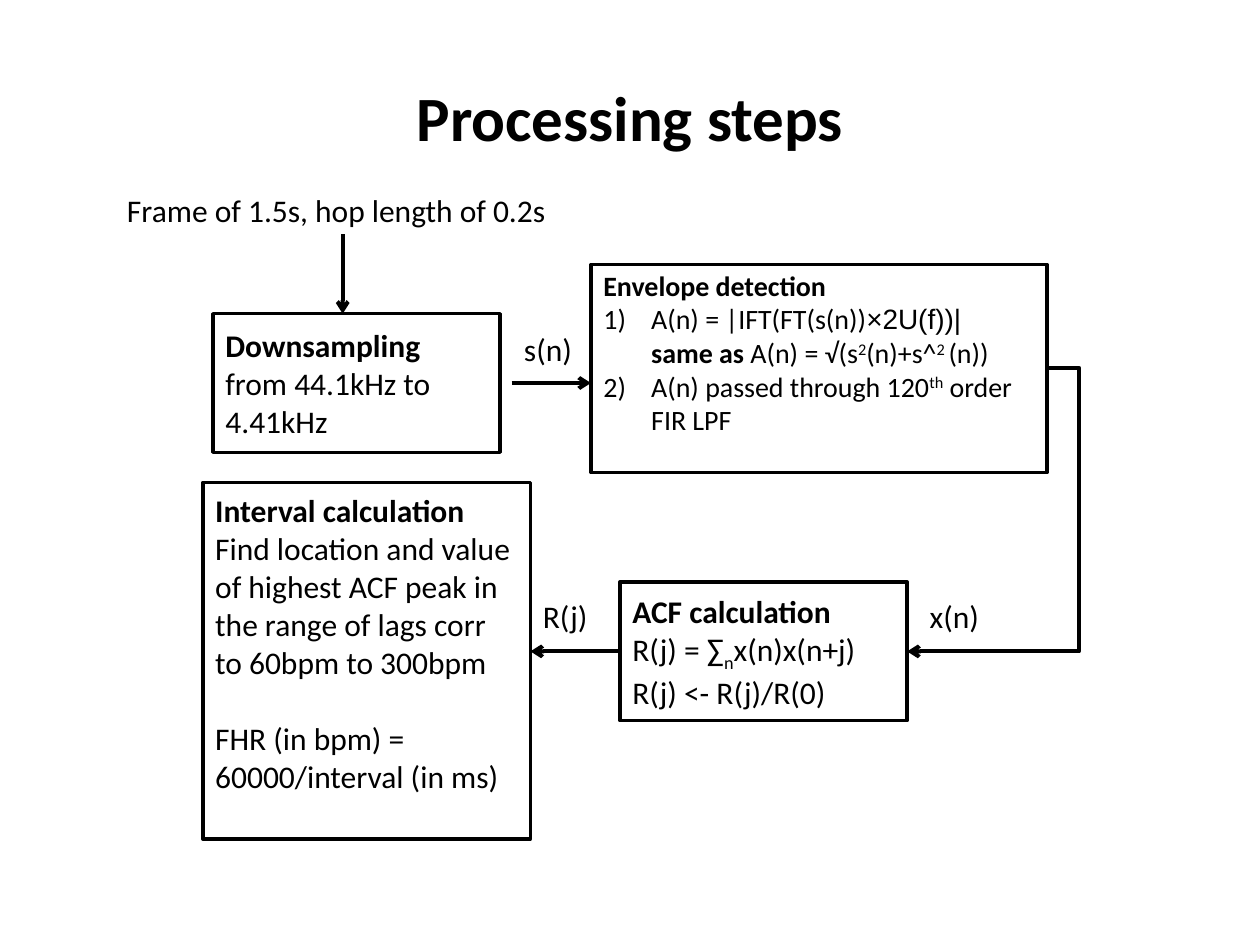
from lxml.etree import SubElement
from pptx import Presentation
from pptx.dml.color import RGBColor
from pptx.enum.shapes import MSO_CONNECTOR as Link, MSO_SHAPE as Shape
from pptx.enum.text import MSO_ANCHOR as Anchor, MSO_AUTO_SIZE as AutoSize, PP_ALIGN as Align
from pptx.oxml.ns import qn
from pptx.util import Inches, Pt


def color(value):
    return RGBColor.from_string(value)


class FlowSlide:
    font = "Calibri"
    ink = "000000"
    paper = "FFFFFF"
    indent = Inches(0.38)

    def __init__(self, deck):
        self.slide = deck.slides.add_slide(deck.slide_layouts[5])
        fill = self.slide.background.fill
        fill.solid()
        fill.fore_color.rgb = color(self.paper)

    def style(self, span, size, bold=False, font=None, baseline=0):
        span.font.name = font or self.font
        span.font.size = Pt(size)
        span.font.bold = bold
        span.font.color.rgb = color(self.ink)
        if baseline:
            span.font._element.set("baseline", str(baseline * 1000))

    def title(self, text, left, top, width, height):
        box = self.slide.shapes.title
        box.left, box.top, box.width, box.height = map(Inches, (left, top, width, height))
        frame = box.text_frame
        frame.text = text
        frame.vertical_anchor = Anchor.MIDDLE
        frame.paragraphs[0].alignment = Align.CENTER
        self.style(frame.paragraphs[0].runs[0], 36, bold=True)

    def label(self, text, left, top, width):
        box = self.slide.shapes.add_textbox(*map(Inches, (left, top, width, 0.4)))
        frame = box.text_frame
        frame.text = text
        frame.word_wrap = False
        frame.auto_size = AutoSize.SHAPE_TO_FIT_TEXT
        self.style(frame.paragraphs[0].runs[0], 18)

    def step(self, lines, left, top, width, height, size=18, top_inset=None):
        box = self.slide.shapes.add_shape(Shape.RECTANGLE, *map(Inches, (left, top, width, height)))
        box.shadow.inherit = False
        box.fill.background()
        box.line.color.rgb = color(self.ink)
        box.line.width = Pt(2)
        frame = box.text_frame
        frame.word_wrap = True
        frame.vertical_anchor = Anchor.MIDDLE
        if top_inset is not None:
            frame.vertical_anchor = Anchor.TOP
            frame.margin_top = Inches(top_inset)
        for index, line in enumerate(lines):
            para = frame.add_paragraph() if index else frame.paragraphs[0]
            para.alignment = Align.LEFT
            for text, look in line:
                span = para.add_run()
                span.text = text
                self.style(span, size, **look)
        return box

    def hang(self, para, number=None):
        props = para._p.get_or_add_pPr()
        props.set("marL", str(self.indent))
        props.set("indent", str(-self.indent if number else 0))
        if number:
            SubElement(props, qn("a:buFont"), typeface="+mj-lt")
            SubElement(props, qn("a:buAutoNum"), type="arabicParenR", startAt=str(number))

    def arrow(self, start, end, bend=None):
        kind = Link.STRAIGHT if bend is None else Link.ELBOW
        link = self.slide.shapes.add_connector(kind, *map(Inches, start + end))
        link.line.color.rgb = color(self.ink)
        link.line.width = Pt(2.25)
        SubElement(link.line._get_or_add_ln(), qn("a:tailEnd"), type="arrow")
        props = link._element.spPr
        SubElement(props, qn("a:effectLst"))
        if bend is not None:
            guides = props.find(qn("a:prstGeom")).get_or_add_avLst()
            SubElement(guides, qn("a:gd"), name="adj1", fmla=f"val {round(bend * 100000)}")
        return link


def main():
    deck = Presentation()
    deck.slide_width, deck.slide_height = Inches(10), Inches(7.5)
    flow = FlowSlide(deck)
    plain, bold = {}, {"bold": True}
    raised, lowered = {"baseline": 30}, {"baseline": -25}

    flow.title("Processing steps", 0.5, 0.3, 9, 1.25)
    flow.step([[("Downsampling", bold), (" from 44.1kHz to 4.41kHz", plain)]], 1.69, 2.49, 2.28, 1.1)
    envelope = flow.step([
        [("Envelope detection", bold)],
        [("A(n) = |IFT(FT(s(n))", plain), ("×2U(f))|", {"font": "Arial"})],
        [("same as", bold), (" A(n) = √(s", plain), ("2", raised), ("(n)+s^", plain),
         ("2 ", raised), ("(n))", plain)],
        [("A(n) passed through 120", plain), ("th", raised), (" order FIR LPF", plain)],
    ], 4.69, 2.1, 3.62, 1.65, size=16, top_inset=0.03)
    for para, number in zip(envelope.text_frame.paragraphs[1:], (1, None, 2)):
        flow.hang(para, number)
    acf = flow.step([
        [("ACF calculation", bold)],
        [("R(j) = ∑", plain), ("n", lowered), ("x(n)x(n+j)", plain)],
        [("R(j) <- R(j)/R(0)", plain)],
    ], 4.92, 4.62, 2.28, 1.1)
    interval = flow.step([
        [("Interval calculation", bold)],
        [("Find location and value of highest ACF peak in the range of lags corr "
          "to 60bpm to 300bpm", plain)],
        [("FHR (in bpm) = 60000/interval (in ms)", plain)],
    ], 1.61, 3.83, 2.6, 2.83, top_inset=0.07)
    interval.text_frame.paragraphs[2].space_before = Pt(22)

    flow.arrow((2.72, 1.86), (2.72, 2.49))
    flow.arrow((4.06, 3.04), (4.69, 3.04))
    flow.arrow((8.31, 2.92), (7.2, 5.17), bend=-0.23)
    flow.arrow((4.92, 5.17), (4.21, 5.17)).begin_connect(acf, 1)

    for text, left, top, width in (
        ("Frame of 1.5s, hop length of 0.2s", 0.91, 1.47, 3.56),
        ("s(n)", 4.06, 2.57, 0.59),
        ("x(n)", 7.28, 4.69, 0.6),
        ("R(j)", 4.21, 4.69, 0.56),
    ):
        flow.label(text, left, top, width)

    deck.save("out.pptx")


if __name__ == "__main__":
    main()
